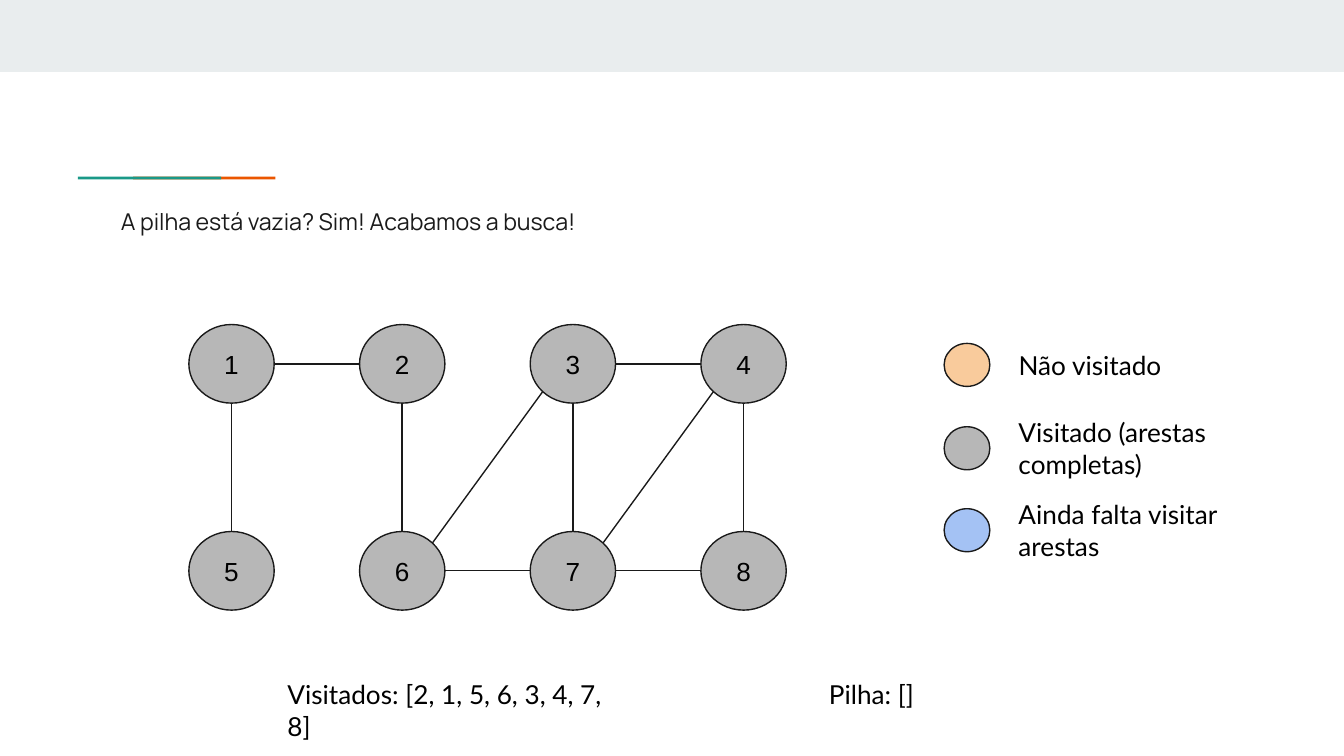
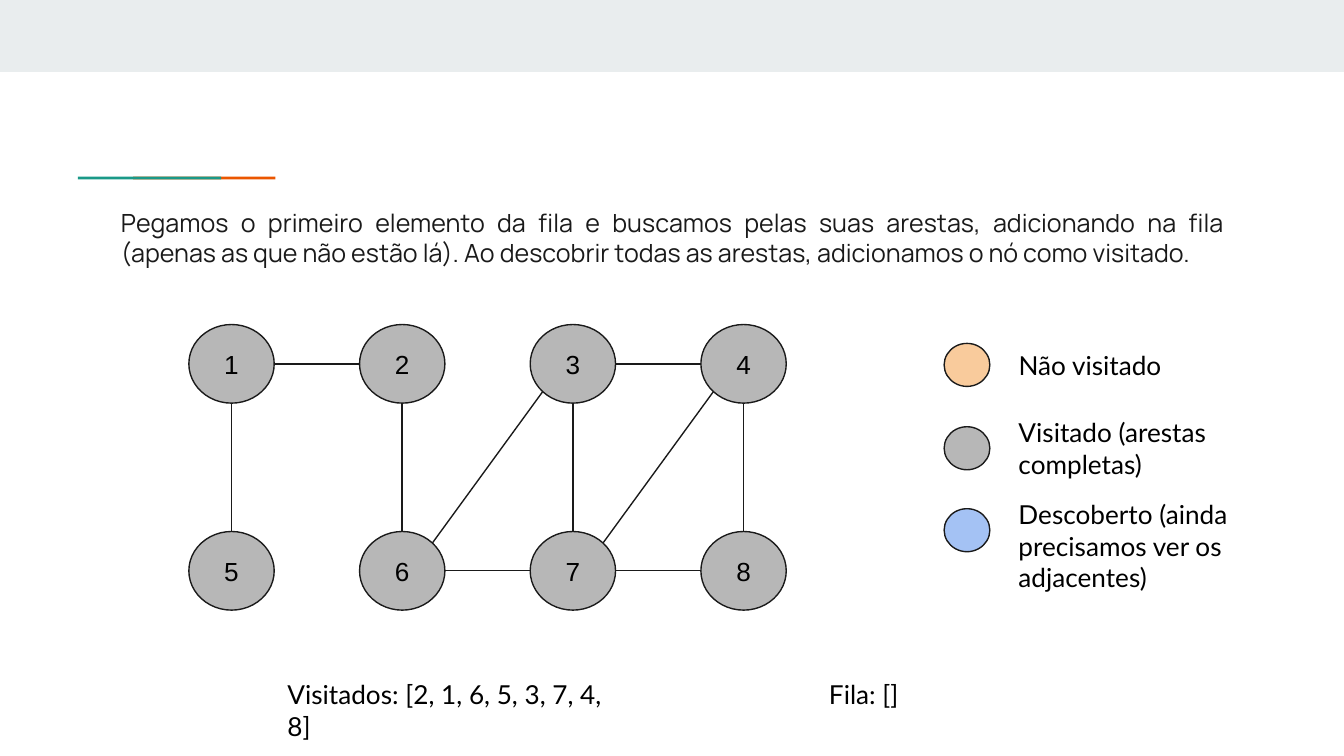
from dataclasses import dataclass
from math import hypot
from typing import NamedTuple

from lxml.etree import SubElement
from pptx import Presentation
from pptx.dml.color import RGBColor
from pptx.enum.shapes import MSO_CONNECTOR, MSO_SHAPE
from pptx.enum.text import MSO_ANCHOR, MSO_AUTO_SIZE, PP_ALIGN
from pptx.oxml.ns import qn
from pptx.util import Pt

PX = 4572

INK = RGBColor(0x1A, 0x1A, 0x1A)
BLACK = RGBColor(0, 0, 0)
PALE = RGBColor(0xE9, 0xED, 0xEE)
TEAL = RGBColor(0x1A, 0x99, 0x88)
RED = RGBColor(0xEB, 0x56, 0x00)
PEACH = RGBColor(0xF9, 0xCB, 0x9C)
GRAY = RGBColor(0xB7, 0xB7, 0xB7)
BLUE = RGBColor(0xA4, 0xC2, 0xF4)

INSET = {f"margin_{side}": 20 * PX for side in ("left", "top", "right", "bottom")}
TITLE = {**INSET, "word_wrap": True, "auto_size": MSO_AUTO_SIZE.NONE,
         "vertical_anchor": MSO_ANCHOR.TOP}
LABEL = {**INSET, "word_wrap": True, "auto_size": MSO_AUTO_SIZE.SHAPE_TO_FIT_TEXT,
         "vertical_anchor": MSO_ANCHOR.TOP}
NODE = {**INSET, "vertical_anchor": MSO_ANCHOR.MIDDLE}


class Box(NamedTuple):
    left: int
    top: int
    width: int
    height: int

    def emu(self) -> list[int]:
        return [n * PX for n in self]


class Key(NamedTuple):
    fill: RGBColor
    dot: int
    text: str
    box: Box


@dataclass(frozen=True)
class Page:
    title: str
    size: float
    keys: list[Key]
    seen: str
    wide: int
    rest: str
    span: int


BANDS = [
    (Box(0, 0, 2000, 107), PALE),
    (Box(198, 263, 212, 4), RED),
    (Box(116, 263, 213, 4), TEAL),
]
HEAD = Box(160, 288, 1682, 118)
EDGES = [(1, 2), (3, 4), (1, 5), (2, 6), (6, 3),
         (6, 7), (3, 7), (7, 8), (4, 8), (7, 4)]
KEYS = [
    Key(PEACH, 511, "Não visitado", Box(1496, 500, 264, 88)),
    Key(GRAY, 635, "Visitado (arestas completas)", Box(1496, 600, 412, 134)),
]
PAGES = [
    Page("A pilha está vazia? Sim! Acabamos a busca!", 12.4,
         KEYS + [Key(BLUE, 757, "Ainda falta visitar arestas",
                     Box(1496, 722, 412, 134))],
         "Visitados: [2, 1, 5, 6, 3, 4, 7, 8]", 550, "Pilha: []", 400),
    Page("Pegamos o primeiro elemento da fila e buscamos pelas suas arestas, "
         "adicionando na fila (apenas as que não estão lá). Ao descobrir todas "
         "as arestas, adicionamos o nó como visitado.", 13.4,
         KEYS + [Key(BLUE, 757, "Descoberto (ainda precisamos ver os adjacentes)",
                     Box(1496, 722, 412, 182))],
         "Visitados: [2, 1, 6, 5, 3, 7, 4, 8]", 536, "Fila: []", 354),
]


def apply(item, vals: dict) -> None:
    for name, val in vals.items():
        setattr(item, name, val)


def write(shape, text: str, frame: dict, para: dict, font: dict,
          tint: RGBColor = BLACK) -> None:
    apply(shape.text_frame, frame)
    line = shape.text_frame.paragraphs[0]
    apply(line, para)
    run = line.add_run()
    run.text = text
    apply(run.font, font)
    run.font.color.rgb = tint


def draw(slide, kind: MSO_SHAPE, box: Box, fill: RGBColor, edge: bool = True):
    shape = slide.shapes.add_shape(kind, *box.emu())
    shape.shadow.inherit = False
    shape.fill.solid()
    shape.fill.fore_color.rgb = fill
    if edge:
        shape.line.color.rgb = INK
        shape.line.width = Pt(0.75)
    else:
        shape.line.fill.background()
    return shape


def label(slide, text: str, box: Box) -> None:
    shape = slide.shapes.add_textbox(*box.emu())
    write(shape, text, LABEL, {"alignment": PP_ALIGN.LEFT},
          {"name": "Lato", "size": Pt(14)})


def place(num: int) -> Box:
    row, col = divmod(num - 1, 4)
    return Box(281 + col * 254, 483 + row * 308, 127, 117)


def sign(num: int) -> int:
    return (num > 0) - (num < 0)


def rim(box: Box, right: int, down: int) -> tuple[int, int]:
    size = 2 * hypot(right, down)
    return (round((box.left + box.width / 2 + right * box.width / size) * PX),
            round((box.top + box.height / 2 + down * box.height / size) * PX))


def link(slide, head: Box, tail: Box) -> None:
    right, down = sign(tail.left - head.left), sign(tail.top - head.top)
    line = slide.shapes.add_connector(
        MSO_CONNECTOR.STRAIGHT, *rim(head, right, down), *rim(tail, -right, -down))
    line.line.color.rgb = INK
    line.line.width = Pt(0.75)
    SubElement(line._element.spPr, qn("a:effectLst"))


def graph(slide) -> None:
    for num in range(1, 9):
        node = draw(slide, MSO_SHAPE.OVAL, place(num), GRAY)
        write(node, str(num), NODE, {"alignment": PP_ALIGN.CENTER},
              {"name": "Arial", "size": Pt(14)})
    for head, tail in EDGES:
        link(slide, place(head), place(tail))


def build(deck, page: Page) -> None:
    slide = deck.slides.add_slide(deck.slide_layouts.get_by_name("Title Only"))
    for box, fill in BANDS:
        draw(slide, MSO_SHAPE.RECTANGLE, box, fill, False)
    title = slide.shapes.title
    apply(title, dict(zip(HEAD._fields, HEAD.emu())))
    write(title, page.title, TITLE,
          {"alignment": PP_ALIGN.JUSTIFY, "line_spacing": 1.0},
          {"name": "Manrope", "size": Pt(page.size)}, INK)
    graph(slide)
    for key in page.keys:
        draw(slide, MSO_SHAPE.OVAL, Box(1405, key.dot, 68, 64), key.fill)
        label(slide, key.text, key.box)
    label(slide, page.seen, Box(408, 990, page.wide, 88))
    label(slide, page.rest, Box(1214, 990, page.span, 88))


def main() -> None:
    deck = Presentation()
    apply(deck, {"slide_width": 2000 * PX, "slide_height": 1125 * PX})
    for page in PAGES:
        build(deck, page)
    deck.save("out.pptx")


if __name__ == "__main__":
    main()
